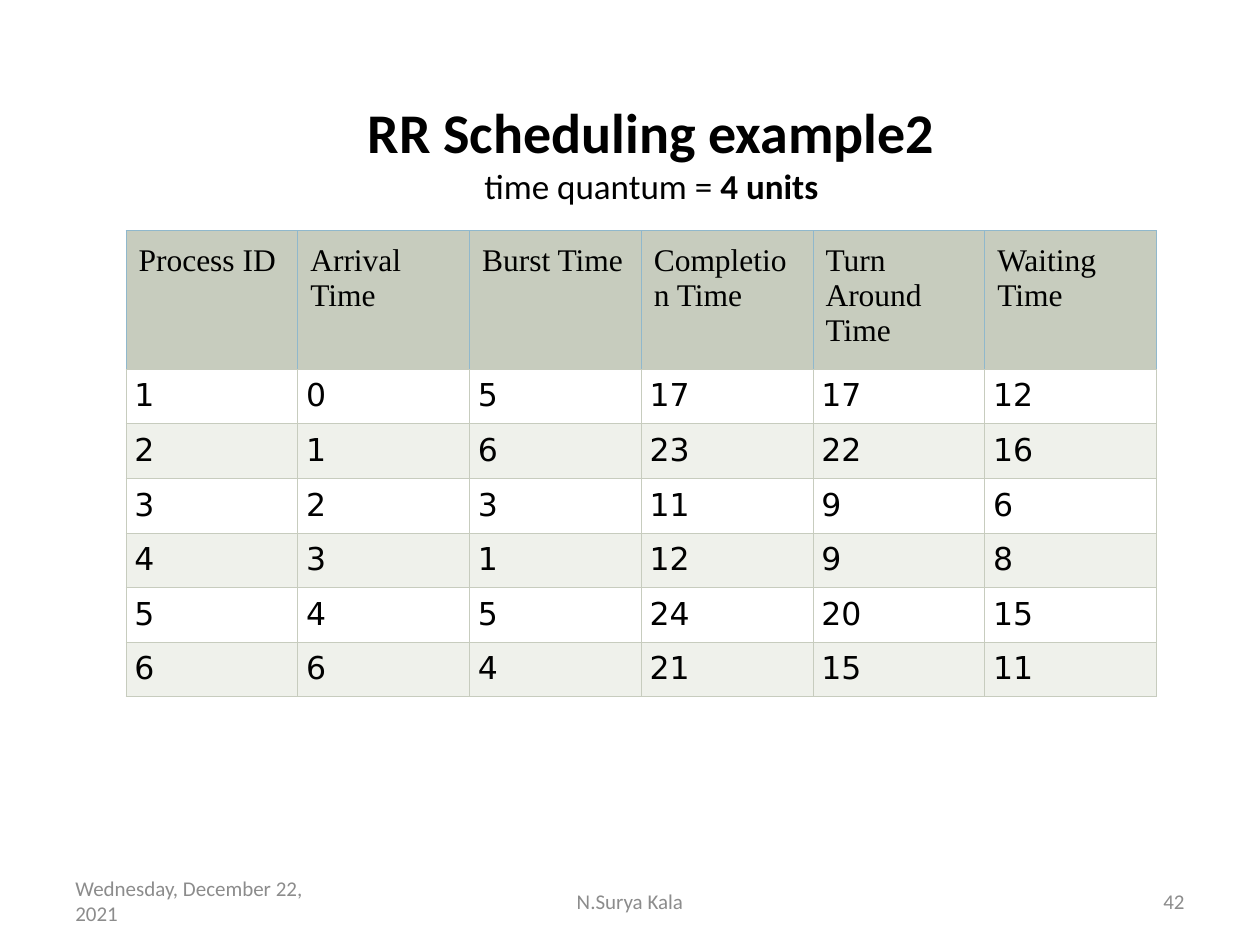
"""Build a slide showing a round robin scheduling example."""
from dataclasses import dataclass

from lxml import etree
from pptx import Presentation
from pptx import util as u
from pptx.dml import color
from pptx.enum import text
from pptx.oxml import ns


@dataclass(frozen=True)
class Theme:
    """Colours, fonts and type sizes of the slide."""
    ink: str = "000000"
    muted: str = "8C8C8C"
    header: str = "C7CCBE"
    header_edge: str = "90B8CC"
    bands: tuple = ("FFFFFF", "EFF1EB")
    sans: str = "Calibri"
    serif: str = "Times New Roman"
    digits: str = "DejaVu Sans"
    title: int = 32
    subtitle: int = 20
    table: int = 18
    footer: int = 12
    border: float = 0.6


THEME = Theme()
LEFT, CENTER, RIGHT = text.PP_ALIGN.LEFT, text.PP_ALIGN.CENTER, text.PP_ALIGN.RIGHT
HEADINGS = ("Process ID", "Arrival Time", "Burst Time",
            "Completion Time", "Turn Around Time", "Waiting Time")
PROCESSES = (
    (1, 0, 5, 17, 17, 12),
    (2, 1, 6, 23, 22, 16),
    (3, 2, 3, 11, 9, 6),
    (4, 3, 1, 12, 9, 8),
    (5, 4, 5, 24, 20, 15),
    (6, 6, 4, 21, 15, 11),
)


def write(para, words, size, font=THEME.sans, ink=THEME.ink, bold=False, align=LEFT):
    """Add one formatted span to a paragraph."""
    para.alignment = align
    span = para.add_run()
    span.text = words
    span.font.size = u.Pt(size)
    span.font.name = font
    span.font.bold = bold
    span.font.color.rgb = color.RGBColor.from_string(ink)


def add_box(page, left, top, width, height):
    """Add a wrapping, vertically centred text box and return its paragraph."""
    box = page.shapes.add_textbox(*map(u.Inches, (left, top, width, height)))
    frame = box.text_frame
    frame.word_wrap = True
    frame.vertical_anchor = text.MSO_ANCHOR.MIDDLE
    return frame.paragraphs[0]


def add_heading(page, left, top, width, height):
    """Place the title with the time quantum below it."""
    para = add_box(page, left, top, width, height)
    write(para, "RR Scheduling example2", THEME.title, bold=True, align=CENTER)
    para.add_line_break()
    write(para, "time quantum = ", THEME.subtitle, align=CENTER)
    write(para, "4 units", THEME.subtitle, bold=True, align=CENTER)


def set_borders(cell, edge, bottom):
    """Draw the four borders of a cell."""
    properties = cell._tc.get_or_add_tcPr()
    for side, ink in (("L", edge), ("R", edge), ("T", edge), ("B", bottom)):
        line = etree.SubElement(properties, ns.qn(f"a:ln{side}"), w=str(u.Pt(THEME.border)))
        fill = etree.SubElement(line, ns.qn("a:solidFill"))
        etree.SubElement(fill, ns.qn("a:srgbClr"), val=ink)


def fill_cell(cell, words, font, fill, edge, inset):
    """Write and format one table cell."""
    cell.margin_left = cell.margin_right = u.Inches(inset)
    cell.margin_top = cell.margin_bottom = u.Inches(inset)
    set_borders(cell, edge, THEME.header)
    cell.fill.solid()
    cell.fill.fore_color.rgb = color.RGBColor.from_string(fill)
    write(cell.text_frame.paragraphs[0], words, THEME.table, font=font)


def add_process_table(page, left, top, width, height, header_height=1.02):
    """Place the process table with a header and banded rows."""
    frame = page.shapes.add_table(len(PROCESSES) + 1, len(HEADINGS),
                                  *map(u.Inches, (left, top, width, height)))
    table = frame.table
    for column in table.columns:
        column.width = u.Inches(width / len(HEADINGS))
    for row in table.rows:
        row.height = u.Inches((height - header_height) / len(PROCESSES))
    table.rows[0].height = u.Inches(header_height)
    for index, heading in enumerate(HEADINGS):
        fill_cell(table.cell(0, index), heading, THEME.serif,
                  THEME.header, THEME.header_edge, 0.1)
    for number, process in enumerate(PROCESSES):
        for index, value in enumerate(process):
            fill_cell(table.cell(number + 1, index), str(value), THEME.digits,
                      THEME.bands[number % 2], THEME.header, 0.2 / 3)


def add_footer(page, left, top, width, height):
    """Place the date, author and page number along the bottom."""
    side, middle = 2.33, 3.17
    parts = (
        ("Wednesday, December 22, 2021", left, side, LEFT),
        ("N.Surya Kala", left + (width - middle) / 2, middle, CENTER),
        ("42", left + width - side, side, RIGHT),
    )
    for words, start, span_width, align in parts:
        para = add_box(page, start, top, span_width, height)
        write(para, words, THEME.footer, ink=THEME.muted, align=align)


def main():
    """Build and save the deck."""
    deck = Presentation()
    deck.slide_width, deck.slide_height = u.Inches(10), u.Inches(7.5)
    page = deck.slides.add_slide(deck.slide_layouts[6])
    add_heading(page, 0.67, 0.58, 9, 1.25)
    add_process_table(page, 1, 1.83, 8.18, 3.57)
    add_footer(page, 0.5, 6.95, 9, 0.4)
    deck.save("out.pptx")


if __name__ == "__main__":
    main()
